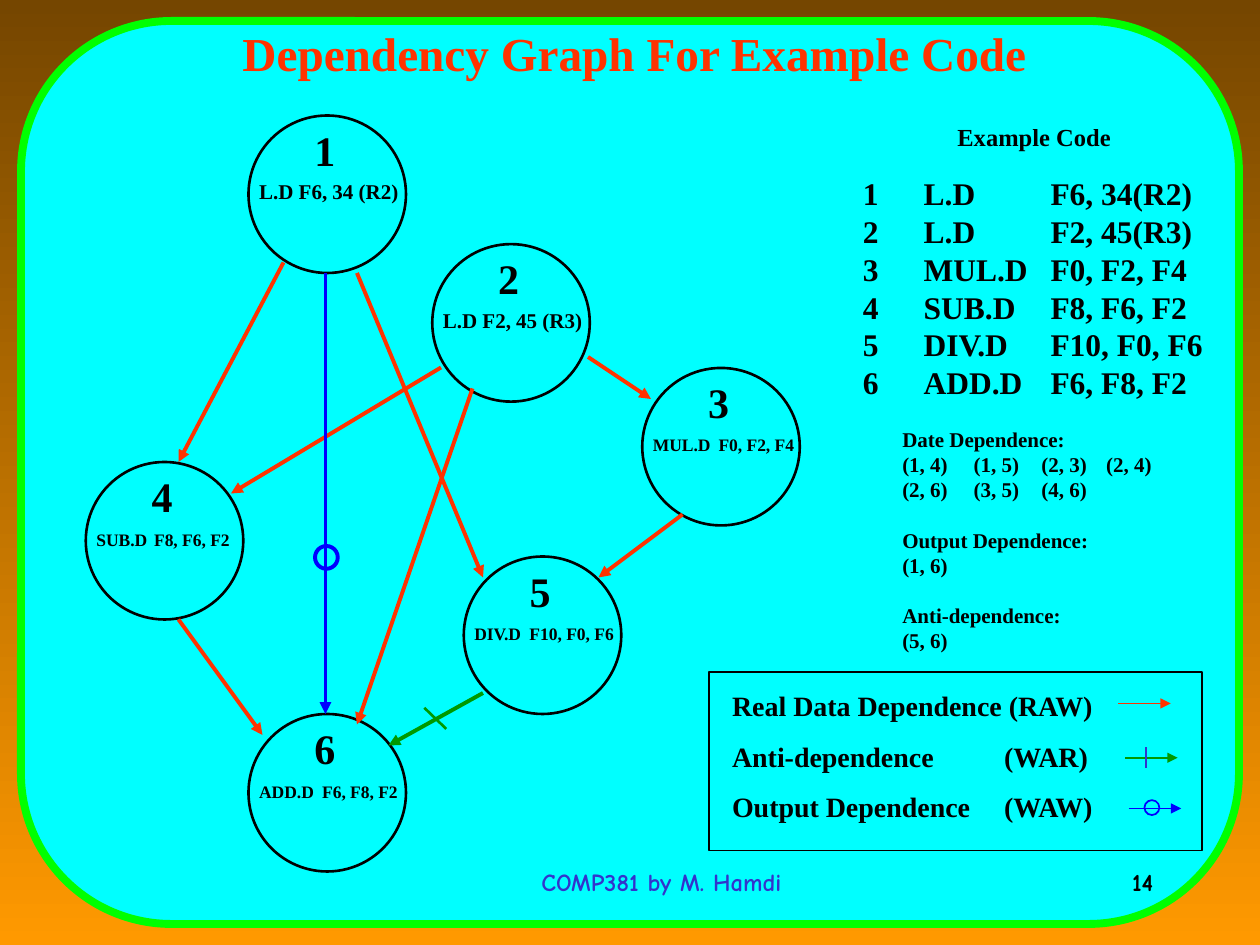
from lxml import etree
from pptx import Presentation
from pptx import util as u
from pptx.dml.color import RGBColor
from pptx.enum import shapes, text
from pptx.oxml.ns import qn

Pt = u.Pt
BLACK = RGBColor(0, 0, 0)
RED = RGBColor(0xFF, 0x33, 0x00)
GREEN = RGBColor(0x00, 0x99, 0x00)
BLUE = RGBColor(0x00, 0x00, 0xFF)
INDIGO = RGBColor(0x33, 0x33, 0xCC)
CYAN = RGBColor(0x00, 0xFF, 0xFF)
LIME = RGBColor(0x00, 0xFF, 0x00)
BROWN = RGBColor(0x75, 0x46, 0x00)
ORANGE = RGBColor(0xFF, 0x99, 0x00)
SERIF = "Times New Roman"
COMIC = "Comic Neue"


def add_text(lines, left, top, width, height, size, color=BLACK, font=SERIF,
             align=text.PP_ALIGN.LEFT, tabs=(), gaps={}):
    """Add bold lines; tabs are stops in points, gaps maps line index to space before."""
    box = page.shapes.add_textbox(Pt(left), Pt(top), Pt(width), Pt(height))
    frame = box.text_frame
    frame.word_wrap = True
    for index, line in enumerate(lines):
        para = frame.paragraphs[0] if index == 0 else frame.add_paragraph()
        para.text = line
        para.alignment = align
        if tabs:
            stops = etree.SubElement(para._p.get_or_add_pPr(), qn("a:tabLst"))
            for stop in tabs:
                etree.SubElement(stops, qn("a:tab"), pos=str(Pt(stop)), algn="l")
        if index in gaps:
            para.space_before = Pt(gaps[index])
        for span in para.runs:
            span.font.name = font
            span.font.size = Pt(size)
            span.font.bold = True
            span.font.color.rgb = color
    return box


def add_line(x1, y1, x2, y2, color, width=2.25, arrow=True):
    line = page.shapes.add_connector(
        shapes.MSO_CONNECTOR.STRAIGHT, Pt(x1), Pt(y1), Pt(x2), Pt(y2))
    line.line.color.rgb = color
    line.line.width = Pt(width)
    if arrow:
        etree.SubElement(line.line._get_or_add_ln(), qn("a:tailEnd"), type="triangle")
    etree.SubElement(line._element.spPr, qn("a:effectLst"))


deck = Presentation()
deck.slide_width, deck.slide_height = Pt(720), Pt(540)
page = deck.slides.add_slide(deck.slide_layouts[6])

backdrop = page.background.fill
backdrop.gradient()
backdrop.gradient_angle = 270
for stop, color in zip(backdrop.gradient_stops, (BROWN, ORANGE)):
    stop.color.rgb = color

# Graph nodes: left, top, instruction, label size, label tab stop
nodes = {
    1: (142, 66, "L.D F6, 34 (R2)", 12, None),
    2: (247, 139.5, "L.D F2, 45 (R3)", 12, None),
    3: (367, 210.25, "MUL.D\tF0, F2, F4", 10, 37.5),
    4: (49, 264, "SUB.D\tF8, F6, F2", 10, 33),
    5: (265, 318, "DIV.D\tF10, F0, F6", 10, 31.5),
    6: (142, 408, "ADD.D\tF6, F8, F2", 10, 36),
}
NODE = 90

# Panel, nodes, output dependence rings and legend frame
OVAL = shapes.MSO_SHAPE.OVAL
outlines = [(shapes.MSO_SHAPE.FLOWCHART_ALTERNATE_PROCESS, 12, 12, 696, 516, LIME, 4.5)]
outlines += [(OVAL, left, top, NODE, NODE, BLACK, 1.5)
             for left, top, *_ in nodes.values()]
outlines += [
    (OVAL, 180, 312, 13, 13, BLUE, 2.25),
    (OVAL, 654, 457.25, 8.5, 8.5, BLUE, 1),
    (shapes.MSO_SHAPE.RECTANGLE, 405, 384, 282, 102, BLACK, 1),
]
for kind, left, top, width, height, color, weight in outlines:
    shape = page.shapes.add_shape(kind, Pt(left), Pt(top), Pt(width), Pt(height))
    shape.shadow.inherit = False
    if color == LIME:
        shape.fill.solid()
        shape.fill.fore_color.rgb = CYAN
    else:
        shape.fill.background()
    shape.line.color.rgb = color
    shape.line.width = Pt(weight)

for number, (left, top, label, size, tab) in nodes.items():
    add_text([str(number)], left + 30.5, top + 1.5, 32, 36, 24)
    add_text([label], left - 1, top + (32.5 if size == 12 else 34.5), 104, 22, size,
             tabs=[tab] if tab else ())

title = add_text(["Dependency Graph For Example Code"], 131.5, 18, 564.5, 24, 27, RED)
title.text_frame.vertical_anchor = text.MSO_ANCHOR.MIDDLE

# Example code
add_text(["Example Code"], 540, 66, 110, 24, 14)
code = ["L.D\tF6, 34(R2)", "L.D\tF2, 45(R3)", "MUL.D\tF0, F2, F4",
        "SUB.D\tF8, F6, F2", "DIV.D\tF10, F0, F6", "ADD.D\tF6, F8, F2"]
add_text([str(number) for number in nodes], 486, 96, 30, 137, 18)
add_text(code, 520.75, 96, 185, 137, 18, tabs=[72.5])

add_text(["Date Dependence:", "(1, 4)\t(1, 5)\t(2, 3)\t(2, 4)", "(2, 6)\t(3, 5)\t(4, 6)",
          "Output Dependence:", "(1, 6)", "Anti-dependence:", "(5, 6)"],
         508.5, 240, 170, 137, 12, tabs=[40.75, 79.5, 116.5], gaps={3: 14.4, 5: 14.4})

# Dependence arrows
raw_arrows = [
    (336, 204, 372, 228), (162, 150, 102, 264), (252, 210, 132, 282),
    (390, 294, 342, 330), (204, 156, 276, 330), (102, 354, 150, 420),
    (270, 222, 204, 414),
]
for ends in raw_arrows:
    add_line(*ends, RED)
add_line(242.5, 404.5, 255, 416.5, GREEN, 1.5, arrow=False)
add_line(276, 396, 222, 426, GREEN)
add_line(186, 156, 186, 408, BLUE)

# Legend
add_text(["Real Data Dependence (RAW)", "Anti-dependence\t(WAR)", "Output Dependence\t(WAW)"],
         411.25, 390, 232, 84, 16, tabs=[155.5], gaps={1: 9.6, 2: 9.6})
for left, y, color in [(639, 402, RED), (643, 433, GREEN), (645, 462, BLUE)]:
    add_line(left, y, left + 30, y, color, 1)
add_line(655, 427, 655, 439, INDIGO, 1, arrow=False)

add_text(["COMP381 by M. Hamdi"], 264, 492, 228, 36, 14, INDIGO, COMIC, text.PP_ALIGN.CENTER)
add_text(["14"], 516, 492, 150, 36, 14, BLACK, COMIC, text.PP_ALIGN.RIGHT)

deck.save("out.pptx")
